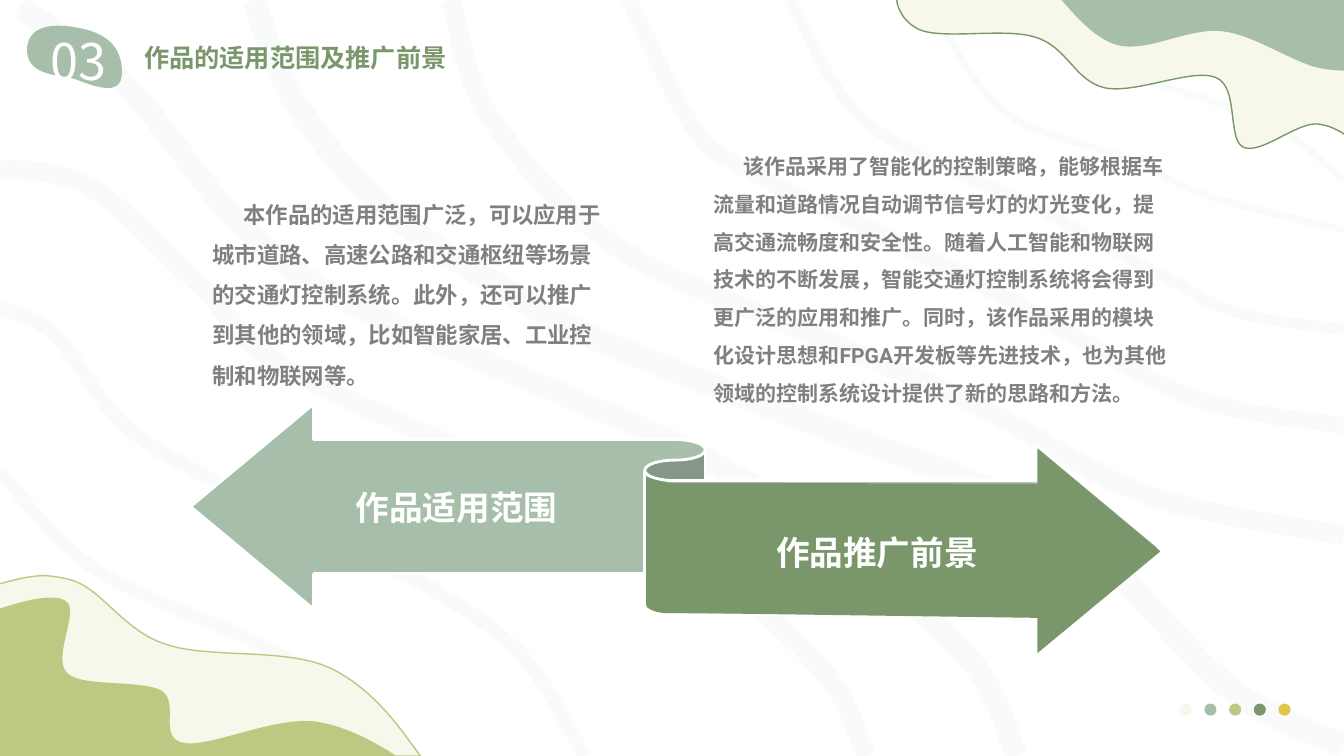
from itertools import pairwise

from lxml import etree
from pptx import Presentation
from pptx.dml.color import RGBColor
from pptx.enum.shapes import MSO_SHAPE
from pptx.enum.text import MSO_AUTO_SIZE
from pptx.oxml.ns import qn
from pptx.util import Cm, Pt

OVAL = MSO_SHAPE.OVAL
RIBBON = MSO_SHAPE.LEFT_RIGHT_RIBBON
GROW = MSO_AUTO_SIZE.SHAPE_TO_FIT_TEXT


class Theme:
    sage, green, lime = "A7BFAA", "79976B", "BBC982"
    cream, gold, white, grey = "F7F7EC", "E2C34E", "FFFFFF", "808080"
    latin, number_font = "Roboto", "Noto Sans CJK JP"
    heading = {"name": latin, "size": Pt(18), "bold": True}
    label = {"name": latin, "size": Pt(24), "bold": True}
    scope_body = {"name": latin, "size": Pt(16), "bold": True}
    outlook_body = {"name": latin, "size": Pt(15), "bold": True}
    number = {"name": number_font, "size": Pt(36)}


def length(inches):
    return Cm(inches * 2.54)


def smooth(knots):
    padded = [knots[0], *knots, knots[-1]]
    segments = []
    for index, ((x1, y1), (x2, y2)) in enumerate(pairwise(knots)):
        (x0, y0), (x3, y3) = padded[index], padded[index + 3]
        segments.append((x1 + (x2 - x0) / 6, y1 + (y2 - y0) / 6,
                         x2 - (x3 - x1) / 6, y2 - (y3 - y1) / 6, x2, y2))
    return segments


class SlidePainter:
    """Draw styled elements on the current slide."""

    def __init__(self, slide, theme):
        self.slide = slide
        self.theme = theme

    def paint(self, shape, fill=None, line=None, width=1, alpha=None):
        shape.shadow.inherit = False
        for target, color in ((shape.fill, fill), (shape.line.fill, line)):
            if color is None:
                target.background()
            else:
                target.solid()
                target.fore_color.rgb = RGBColor.from_string(color)
        if line:
            shape.line.width = Pt(width)
        if alpha:
            for color in shape._element.spPr.iter(qn("a:srgbClr")):
                etree.SubElement(color, qn("a:alpha")).set("val", str(alpha * 1000))
        return shape

    def outline(self, start, segments, closed=True, **style):
        builder = self.slide.shapes.build_freeform(*map(length, start))
        for segment in segments:
            values = [length(value) for value in segment]
            builder.add_line_segments(zip(values[::2], values[1::2]), close=False)
        if closed:
            builder.add_line_segments([], close=True)
        shape = builder.convert_to_shape()
        steps = iter(list(shape._element.spPr.iter(qn("a:lnTo"))))
        for segment in segments:
            step = next(steps)
            if len(segment) == 6:
                curve = etree.Element(qn("a:cubicBezTo"))
                step.addprevious(curve)
                for control in (step, next(steps), next(steps)):
                    curve.append(control[0])
                    control.getparent().remove(control)
        return self.paint(shape, **style)

    def wave(self, width, knots):
        return self.outline(knots[0], smooth(knots), closed=False,
                            line=self.theme.sage, width=width, alpha=5)

    def preset(self, kind, box, **style):
        shape = self.slide.shapes.add_shape(kind, *map(length, box))
        return self.paint(shape, **style)

    def text(self, content, box, font, color, spacing=None, indent=0, wrap=True):
        shape = self.slide.shapes.add_textbox(*map(length, box))
        frame = shape.text_frame
        frame.word_wrap = wrap
        frame.auto_size = GROW
        paragraph = frame.paragraphs[0]
        if indent:
            paragraph._p.get_or_add_pPr().set("indent", str(Cm(indent)))
        if spacing:
            paragraph.line_spacing = spacing
        run = paragraph.add_run()
        run.text = content
        for name, value in font.items():
            setattr(run.font, name, value)
        run.font.color.rgb = RGBColor.from_string(color)


WAVES = [
    (3, [(0, 6.1), (1.04, 6.66), (1.8, 6.96), (2.57, 7.5)]),
    (9, [(0, 4.68), (0.95, 5.65), (2.6, 6.4), (3.5, 6.95), (4.03, 7.5)]),
    (10, [(0, 3.05), (0.55, 3.33), (1.36, 4.32), (3.04, 5.22), (4.33, 5.87),
          (5.2, 6.53), (5.8, 7.5)]),
    (14, [(0, 1.67), (0.9, 1.86), (2, 2.85), (2.75, 3.6), (4.55, 4.45),
          (6.3, 5.22), (7.2, 5.76), (8.2, 6.7), (8.6, 7.5)]),
    (16, [(0.2, 0.07), (1.25, 0.85), (2.36, 2.2), (3.4, 2.97), (5.48, 3.87),
          (6.8, 4.45), (8, 5.15), (9, 5.95), (9.74, 6.7), (10.08, 7.5)]),
    (17, [(2.52, 0), (2.92, 1), (3.8, 2.05), (5.05, 2.9), (6, 3.4), (8.07, 4.2),
          (10, 4.93), (10.95, 5.56), (12.2, 6.83), (13.33, 7.4)]),
    (14, [(4.47, 0), (4.87, 1.17), (6.15, 2.47), (8.4, 3.46), (9.8, 4.08),
          (11.4, 4.92), (13.33, 5.31)]),
    (12, [(6.24, 0), (6.85, 1.22), (7.4, 1.68), (9.6, 2.75), (11.4, 3.75),
          (12.2, 4.05), (13.33, 4.22)]),
    (8, [(7.84, 0), (8.6, 1.22), (10.25, 2.05), (11.55, 2.75), (12.3, 3.11),
         (13.33, 3.27)]),
    (5, [(9.2, 0), (9.95, 1.1), (11.17, 1.57), (12, 1.95), (13.33, 2.28)]),
    (5, [(10.15, 0), (11.2, 0.71), (12.6, 1.22), (13.33, 1.8)]),
]

CORNERS = [
    ((0.46, 5.71), [
        (0.54, 5.72, 0.62, 5.73, 0.69, 5.75), (1.01, 5.83, 1.21, 6.25, 1.64, 6.39),
        (2.07, 6.54, 2.84, 6.42, 3.28, 6.63), (3.61, 6.79, 3.85, 7.06, 4.06, 7.35),
        (4.17, 7.5), (-0.03, 7.5), (-0.03, 5.8), (0.15, 5.75, 0.3, 5.71, 0.46, 5.71),
    ], {"fill": Theme.cream, "line": Theme.lime}),
    ((0.53, 5.93), [
        (0.58, 5.93, 0.63, 5.94, 0.66, 5.97), (0.79, 6.07, 0.51, 6.53, 0.67, 6.68),
        (0.82, 6.82, 1.4, 6.74, 1.6, 6.85), (1.79, 6.97, 1.56, 7.32, 1.82, 7.37),
        (2.08, 7.42, 2.73, 7.1, 3.14, 7.16), (3.4, 7.2, 3.64, 7.32, 3.87, 7.46),
        (3.93, 7.5), (-0.01, 7.5), (-0.01, 6.04), (0.21, 5.97, 0.4, 5.92, 0.53, 5.93),
    ], {"fill": Theme.lime}),
    ((8.89, -0.04), [
        (13.36, -0.04), (13.36, 1.35), (13.26, 1.28, 13.17, 1.24, 13.06, 1.23),
        (12.85, 1.22, 12.5, 1.54, 12.33, 1.46), (12.17, 1.38, 12.29, 0.86, 12.06, 0.77),
        (11.83, 0.67, 11.25, 0.94, 10.95, 0.87), (10.66, 0.8, 10.58, 0.46, 10.27, 0.37),
        (9.97, 0.27, 9.34, 0.4, 9.11, 0.29), (8.99, 0.23, 8.93, 0.14, 8.9, 0.04),
    ], {"fill": Theme.cream, "line": Theme.green}),
    ((10.51, -0.02), [
        (13.35, -0.02), (13.35, 0.7), (13.3, 0.7), (13.24, 0.7, 13.18, 0.69, 13.11, 0.68),
        (12.83, 0.63, 12.46, 0.35, 12.12, 0.31), (11.78, 0.27, 11.36, 0.54, 11.06, 0.44),
        (10.9, 0.39, 10.74, 0.24, 10.6, 0.08),
    ], {"fill": Theme.sage}),
]

RIGHT_ARROW = ((10.29, 4.45), [
    (11.51, 5.47), (10.29, 6.48), (10.29, 6.13), (6.7, 6.08),
    (6.62, 6.09, 6.53, 6.08, 6.48, 6.06), (6.42, 6.03, 6.41, 6.03, 6.41, 5.99),
    (6.41, 4.73), (6.51, 4.77, 6.55, 4.77, 6.63, 4.79), (7.01, 4.79), (10.29, 4.8),
])
NUMBER_BLOB = ((0.27, 0.46), [
    (0.31, 0.17, 0.73, 0.26, 0.88, 0.3), (1.04, 0.35, 1.21, 0.45, 1.21, 0.72),
    (1.21, 0.99, 0.88, 0.83, 0.73, 0.78), (0.57, 0.74, 0.24, 0.75, 0.27, 0.46),
])
SCOPE = "本作品的适用范围广泛，可以应用于城市道路、高速公路和交通枢纽等场景的交通灯控制系统。此外，还可以推广到其他的领域，比如智能家居、工业控制和物联网等。"
OUTLOOK = "该作品采用了智能化的控制策略，能够根据车流量和道路情况自动调节信号灯的灯光变化，提高交通流畅度和安全性。随着人工智能和物联网技术的不断发展，智能交通灯控制系统将会得到更广泛的应用和推广。同时，该作品采用的模块化设计思想和FPGA开发板等先进技术，也为其他领域的控制系统设计提供了新的思路和方法。"


def main():
    presentation = Presentation()
    presentation.slide_width, presentation.slide_height = length(13.33), length(7.5)
    slide = presentation.slides.add_slide(presentation.slide_layouts[6])
    theme = Theme()
    painter = SlidePainter(slide, theme)
    for width, knots in WAVES:
        painter.wave(width, knots)
    for start, segments, style in CORNERS:
        painter.outline(start, segments, **style)
    dots = (theme.cream, theme.sage, theme.lime, theme.green, theme.gold)
    for index, color in enumerate(dots):
        painter.preset(OVAL, (11.7 + index * 0.245, 6.98, 0.12, 0.12), fill=color)

    ribbon = painter.preset(RIBBON, (1.89, 4.01, 9.61, 2.44), fill=theme.sage,
                            line=theme.white, width=2)
    for index, value in enumerate((0.545, 0.5, 0.167)):
        ribbon.adjustments[index] = value
    painter.outline(*RIGHT_ARROW, fill=theme.green)
    painter.text("作品适用范围", (3.43, 4.78, 2.44, 0.5), theme.label, theme.white)
    painter.text("作品推广前景", (7.6, 5.23, 2.44, 0.5), theme.label, theme.white)
    painter.text(SCOPE, (2.01, 1.81, 4.1, 2.07), theme.scope_body, theme.grey, 1.5, 0.78)
    painter.text(OUTLOOK, (6.98, 1.35, 4.71, 2.71), theme.outlook_body, theme.grey, 1.5, 0.74)

    painter.text("作品的适用范围及推广前景", (1.33, 0.37, 3.32, 0.4), theme.heading, theme.green)
    painter.outline(*NUMBER_BLOB, fill=theme.sage)
    painter.text("03", (0.4, 0.25, 0.79, 0.71), theme.number, theme.white, wrap=False)
    presentation.save("out.pptx")


if __name__ == "__main__":
    main()
